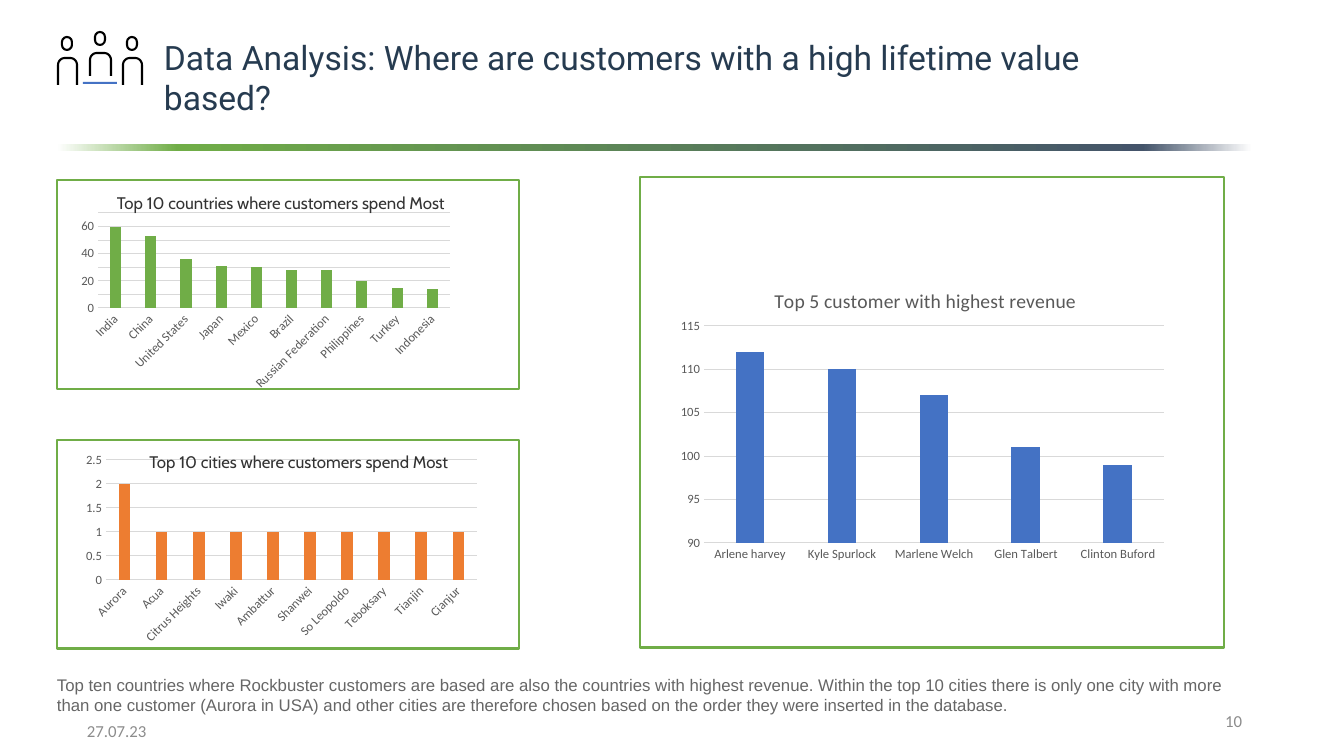
from math import cos, pi, sin

from lxml.etree import SubElement
from pptx import Presentation
from pptx.chart.data import CategoryChartData
from pptx.dml.color import RGBColor
from pptx.enum.chart import XL_CHART_TYPE, XL_TICK_MARK
from pptx.enum.shapes import MSO_SHAPE
from pptx.enum.text import MSO_ANCHOR, PP_ALIGN
from pptx.oxml import parse_xml
from pptx.oxml.ns import nsdecls, qn
from pptx.util import Pt

PX = 914400 / 100.8
COLORS = {
    "green": "70AD47", "slate": "44546A", "orange": "ED7D31", "blue": "4472C4",
    "navy": "263B50", "black": "000000", "white": "FFFFFF", "grid": "D9D9D9",
    "axis": "595959", "caption": "333333", "body": "666666", "footer": "8C8C8C",
}
RGB = {name: RGBColor.from_string(code) for name, code in COLORS.items()}


def emu(*lengths):
    return [round(length * PX) for length in lengths]


def place(parent, index, **fractions):
    for old in parent.findall(qn("c:layout")):
        parent.remove(old)
    layout = parse_xml(f"<c:layout {nsdecls('c')}/>")
    manual = SubElement(layout, qn("c:manualLayout"))
    if "w" in fractions:
        SubElement(manual, qn("c:layoutTarget")).set("val", "inner")
    for tag, value in {"xMode": "edge", "yMode": "edge", **fractions}.items():
        SubElement(manual, qn(f"c:{tag}")).set("val", str(value))
    parent.insert(index, layout)


deck = Presentation()
deck.slide_width, deck.slide_height = emu(1344, 756)
slide = deck.slides.add_slide(deck.slide_layouts[6])
shapes = slide.shapes

for box in [(57, 180, 462, 209), (640, 177, 584, 471), (57, 440, 462, 209)]:
    frame = shapes.add_shape(MSO_SHAPE.RECTANGLE, *emu(*box))
    frame.shadow.inherit = False
    frame.fill.background()
    frame.line.color.rgb = RGB["green"]
    frame.line.width = Pt(2)

divider = shapes.add_shape(MSO_SHAPE.RECTANGLE, *emu(57, 144, 1207, 7))
divider.shadow.inherit = False
divider.line.fill.background()
divider.fill.gradient()
divider.fill.gradient_angle = 0
stops = divider.fill._fill._gradFill.find(qn("a:gsLst"))
for stop in list(stops):
    stops.remove(stop)
for percent, color in [(0, "white"), (10, "green"), (90, "slate"), (99, "white")]:
    stop = SubElement(stops, qn("a:gs"), pos=str(percent * 1000))
    SubElement(stop, qn("a:srgbClr"), val=COLORS[color])

countries = {
    "India": 60, "China": 53, "United States": 36, "Japan": 31, "Mexico": 30,
    "Brazil": 28, "Russian Federation": 28, "Philippines": 20, "Turkey": 15, "Indonesia": 14,
}
cities = {"Aurora": 2} | dict.fromkeys([
    "Acua", "Citrus Heights", "Iwaki", "Ambattur", "Shanwei",
    "So Leopoldo", "Teboksary", "Tianjin", "Cianjur"], 1)
customers = {
    "Arlene harvey": 112, "Kyle Spurlock": 110, "Marlene Welch": 107,
    "Glen Talbert": 101, "Clinton Buford": 99,
}
charts = [
    (countries, "green", (74, 210, 384, 185), (98, 213, 352, 95), (0, 70, 10), -45, None),
    (cities, "orange", (78, 450, 407, 200), (106, 460, 371, 120), (0, 2.5, 0.5), -45, None),
    (customers, "blue", (670, 266, 504, 302), (704, 326, 460, 217), (90, 115, 5), 0,
     "Top 5 customer with highest revenue"),
]
for values, color, box, plot_box, scale, rotation, heading in charts:
    data = CategoryChartData()
    data.categories = list(values)
    data.add_series("Series 1", list(values.values()))
    chart = shapes.add_chart(XL_CHART_TYPE.COLUMN_CLUSTERED, *emu(*box), data).chart
    chart.has_legend = False
    chart.font.name = "Calibri"
    chart.font.size = Pt(10)
    chart.has_title = heading is not None
    left, top, width, height = box
    if heading:
        chart.chart_title.text_frame.text = heading
        heading_font = chart.chart_title.text_frame.paragraphs[0].runs[0].font
        for name, value in {"name": "Calibri", "size": Pt(14), "bold": False}.items():
            setattr(heading_font, name, value)
        heading_font.color.rgb = RGB["axis"]
        place(chart.chart_title._element, 1, x=0.2, y=0.06)
    plot = chart.plots[0]
    plot.gap_width, plot.overlap, plot.vary_by_categories = 219, -27, False
    bars = plot.series[0].format.fill
    bars.solid()
    bars.fore_color.rgb = RGB[color]
    category_axis, value_axis = chart.category_axis, chart.value_axis
    for axis in (category_axis, value_axis):
        axis.major_tick_mark = axis.minor_tick_mark = XL_TICK_MARK.NONE
        axis.tick_labels.font.name = "Calibri"
        axis.tick_labels.font.size = Pt(9)
        axis.tick_labels.font.color.rgb = RGB["axis"]
    category_axis._element.find(qn("c:txPr")).find(qn("a:bodyPr")).set("rot", str(rotation * 60000))
    value_axis.minimum_scale, value_axis.maximum_scale, value_axis.major_unit = scale
    value_axis.format.line.fill.background()
    for line in (category_axis.format.line, value_axis.major_gridlines.format.line):
        line.color.rgb = RGB["grid"]
        line.width = Pt(0.75)
    plot_left, plot_top, plot_width, plot_height = plot_box
    place(chart._chartSpace.find(".//" + qn("c:plotArea")), 0,
          x=(plot_left - left) / width, y=(plot_top - top) / height,
          w=plot_width / width, h=plot_height / height)

RADIUS = 7
for left, top, width, height in [(58, 58, 19, 27), (90, 53, 21, 23), (123, 58, 19, 27)]:
    right, bottom = left + width, top + height
    shoulders = []
    for center, start in [(left + RADIUS, pi), (right - RADIUS, pi / 2)]:
        for step in range(9):
            angle = start - step * pi / 16
            shoulders.append((center + RADIUS * cos(angle), top + RADIUS * (1 - sin(angle))))
    outline = shapes.build_freeform(*emu(left, bottom))
    outline.add_line_segments([emu(*point) for point in shoulders + [(right, bottom)]], close=False)
    torso = outline.convert_to_shape()
    head = shapes.add_shape(MSO_SHAPE.ROUNDED_RECTANGLE, *emu(left + width // 2 - 5, top - 21, 10, 13))
    head.adjustments[0] = 0.5
    for part in (torso, head):
        part.shadow.inherit = False
        part.fill.background()
        part.line.color.rgb = RGB["black"]
        part.line.width = Pt(1.5)

table_edge = shapes.add_shape(MSO_SHAPE.RECTANGLE, *emu(83, 82, 34, 2))
table_edge.shadow.inherit = False
table_edge.fill.solid()
table_edge.fill.fore_color.rgb = RGB["blue"]
table_edge.line.fill.background()

LEFT, CENTER, RIGHT = PP_ALIGN.LEFT, PP_ALIGN.CENTER, PP_ALIGN.RIGHT
TOP, MIDDLE = MSO_ANCHOR.TOP, MSO_ANCHOR.MIDDLE
texts = [
    ("Data Analysis: Where are customers with a high lifetime value based?",
     (154, 32, 950, 92), "Roboto", 24, "navy", LEFT, TOP),
    ("Top 10 countries where customers spend Most",
     (60, 188, 442, 30), "Cabin", 12, "caption", CENTER, TOP),
    ("Top ten countries where Rockbuster customers are based are also the countries with highest "
     "revenue. Within the top 10 cities there is only one city with more than one customer (Aurora "
     "in USA) and other cities are therefore chosen based on the order they were inserted in the "
     "database.", (47, 670, 1216, 50), "Arial", 12, "body", LEFT, TOP),
    ("Top 10 cities where customers spend Most",
     (78, 447, 442, 30), "Cabin", 12, "caption", CENTER, TOP),
    ("10", (950, 701, 302, 40), "Calibri", 12, "footer", RIGHT, MIDDLE),
    ("27.07.23", (77, 711, 302, 40), "Calibri", 12, "footer", LEFT, MIDDLE),
]
for words, box, font_name, size, color, alignment, anchor in texts:
    text_frame = shapes.add_textbox(*emu(*box)).text_frame
    text_frame.word_wrap = True
    text_frame.vertical_anchor = anchor
    paragraph = text_frame.paragraphs[0]
    paragraph.alignment = alignment
    run = paragraph.add_run()
    run.text = words
    for name, value in {"name": font_name, "size": Pt(size)}.items():
        setattr(run.font, name, value)
    run.font.color.rgb = RGB[color]

deck.save("out.pptx")
